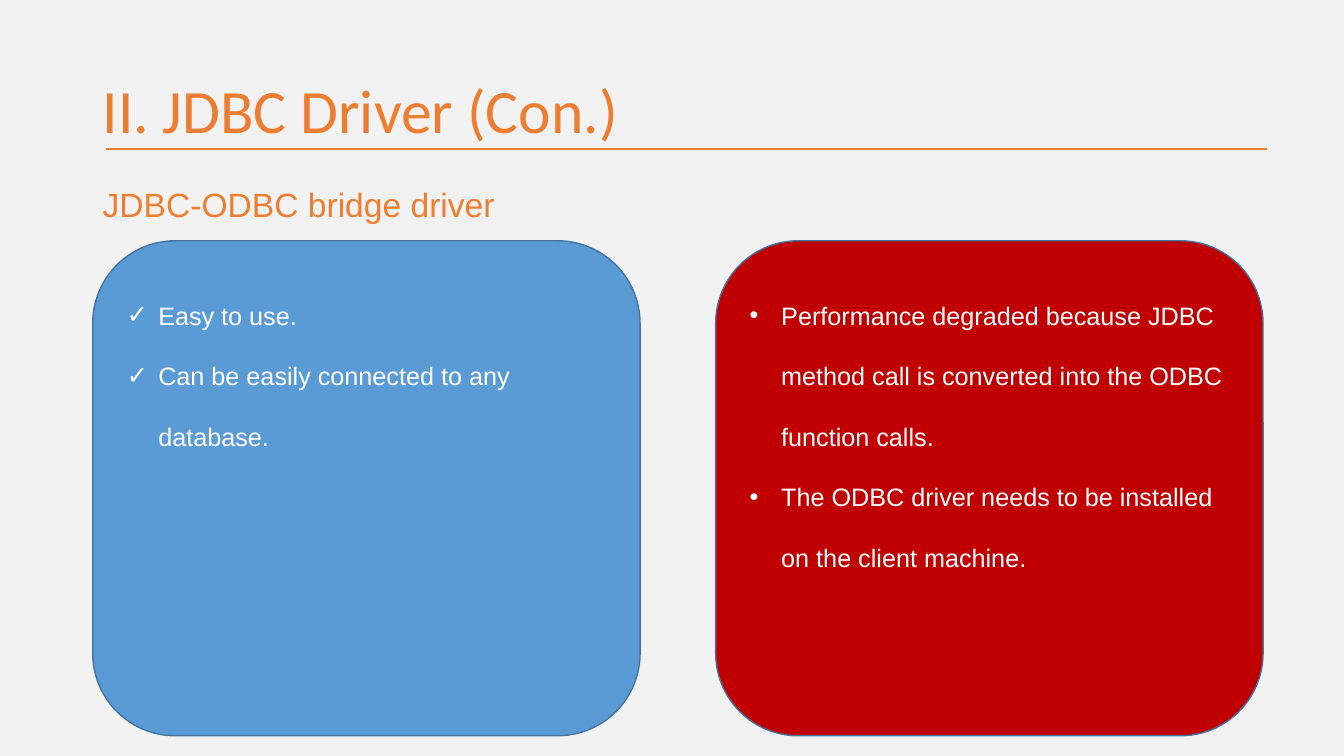
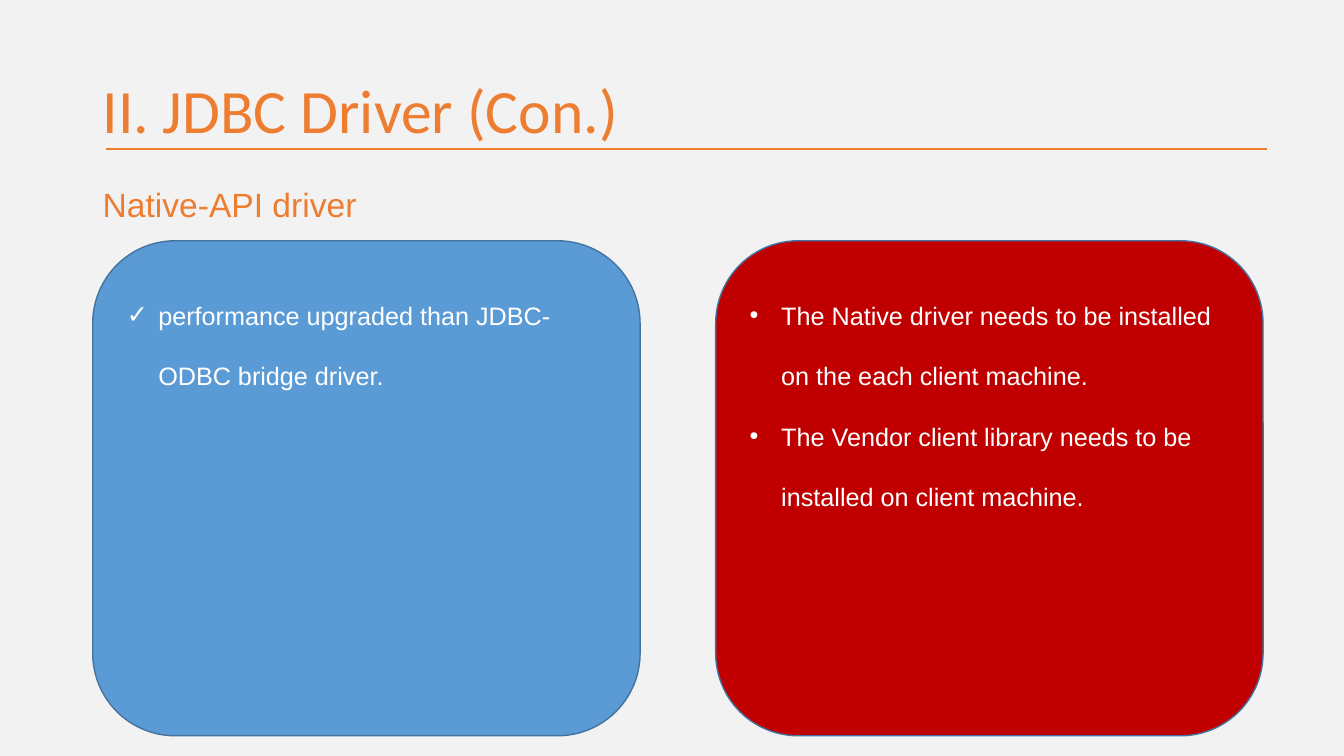
"""Build two slides weighing the pros and cons of JDBC drivers."""
from dataclasses import dataclass

from lxml.etree import SubElement
from pptx import Presentation
from pptx.dml.color import RGBColor
from pptx.enum.shapes import MSO_CONNECTOR, MSO_SHAPE
from pptx.enum.text import MSO_ANCHOR, PP_ALIGN
from pptx.oxml.ns import qn
from pptx.slide import Slide
from pptx.text.text import TextFrame
from pptx.util import Pt

COLORS = {
    "back": "F2F2F2",
    "accent": "ED7D31",
    "pros": "5B9BD5",
    "cons": "C00000",
    "edge": "43739E",
    "text": "FFFFFF",
}
TITLE = "II. JDBC Driver (Con.)"
LEFT, WIDTH = 66.24, 828
RULE_LEFT, RULE_RIGHT, RULE_TOP = 75.6, 905, 106.56
CARD_TOP, CARD_WIDTH, CARD_HEIGHT, CARD_STEP = 172, 391, 353.6, 445
INDENT = 22.5


@dataclass(frozen=True)
class Card:
    color: str
    bullet: str
    lines: tuple[str, ...]


@dataclass(frozen=True)
class Page:
    driver: str
    cards: tuple[Card, ...]


def pros(*lines: str) -> Card:
    return Card("pros", "\u2713", lines)


def cons(*lines: str) -> Card:
    return Card("cons", "\u2022", lines)


PAGES = (
    Page("JDBC-ODBC bridge driver", (
        pros("Easy to use.", "Can be easily connected to any database."),
        cons("Performance degraded because JDBC method call is converted "
             "into the ODBC function calls.",
             "The ODBC driver needs to be installed on the client machine."),
    )),
    Page("Native-API driver", (
        pros("performance upgraded than JDBC-ODBC bridge driver."),
        cons("The Native driver needs to be installed on the each client "
             "machine.",
             "The Vendor client library needs to be installed on client "
             "machine."),
    )),
)


def tint(name: str) -> RGBColor:
    return RGBColor.from_string(COLORS[name])


def write(frame: TextFrame, *lines: str, size: float, color: str,
          font: str = "Arial", spacing: float = 1, before: float = 0,
          anchor: MSO_ANCHOR = MSO_ANCHOR.TOP, bullet: str = "") -> None:
    frame.word_wrap = True
    frame.vertical_anchor = anchor
    for index, line in enumerate(lines):
        para = frame.add_paragraph() if index else frame.paragraphs[0]
        para.alignment = PP_ALIGN.LEFT
        para.line_spacing = spacing
        para.space_before = Pt(before)
        run = para.add_run()
        run.text = line
        run.font.name = font
        run.font.size = Pt(size)
        run.font.color.rgb = tint(color)
        if bullet:
            props = para._p.get_or_add_pPr()
            props.set("marL", str(Pt(INDENT)))
            props.set("indent", str(-Pt(INDENT)))
            SubElement(props, qn("a:buFont"), typeface="Arial")
            SubElement(props, qn("a:buChar"), char=bullet)


def add_box(slide: Slide, top: float, height: float) -> TextFrame:
    box = slide.shapes.add_textbox(Pt(LEFT), Pt(top), Pt(WIDTH), Pt(height))
    return box.text_frame


def add_rule(slide: Slide) -> None:
    rule = slide.shapes.add_connector(
        MSO_CONNECTOR.STRAIGHT, Pt(RULE_LEFT), Pt(RULE_TOP),
        Pt(RULE_RIGHT), Pt(RULE_TOP))
    rule.line.color.rgb = tint("accent")
    rule.line.width = Pt(1.5)
    SubElement(rule._element.spPr, qn("a:effectLst"))


def add_card(slide: Slide, card: Card, left: float) -> None:
    shape = slide.shapes.add_shape(
        MSO_SHAPE.ROUNDED_RECTANGLE, Pt(left), Pt(CARD_TOP),
        Pt(CARD_WIDTH), Pt(CARD_HEIGHT))
    shape.shadow.inherit = False
    shape.fill.solid()
    shape.fill.fore_color.rgb = tint(card.color)
    shape.line.color.rgb = tint("edge")
    shape.line.width = Pt(1)
    write(shape.text_frame, *card.lines, size=18, color="text",
          spacing=2.0, bullet=card.bullet)


def add_page(deck: Presentation, page: Page) -> None:
    slide = deck.slides.add_slide(deck.slide_layouts[6])
    slide.background.fill.solid()
    slide.background.fill.fore_color.rgb = tint("back")
    add_rule(slide)
    write(add_box(slide, 28.8, 104.4), TITLE, size=44, color="accent",
          font="Calibri", spacing=0.9, anchor=MSO_ANCHOR.MIDDLE)
    write(add_box(slide, 113.76, 411), page.driver, size=24,
          color="accent", spacing=1.5, before=10)
    for index, card in enumerate(page.cards):
        add_card(slide, card, LEFT + index * CARD_STEP)


def main() -> None:
    deck = Presentation()
    deck.slide_width, deck.slide_height = Pt(960), Pt(540)
    for page in PAGES:
        add_page(deck, page)
    deck.save("out.pptx")


main()
